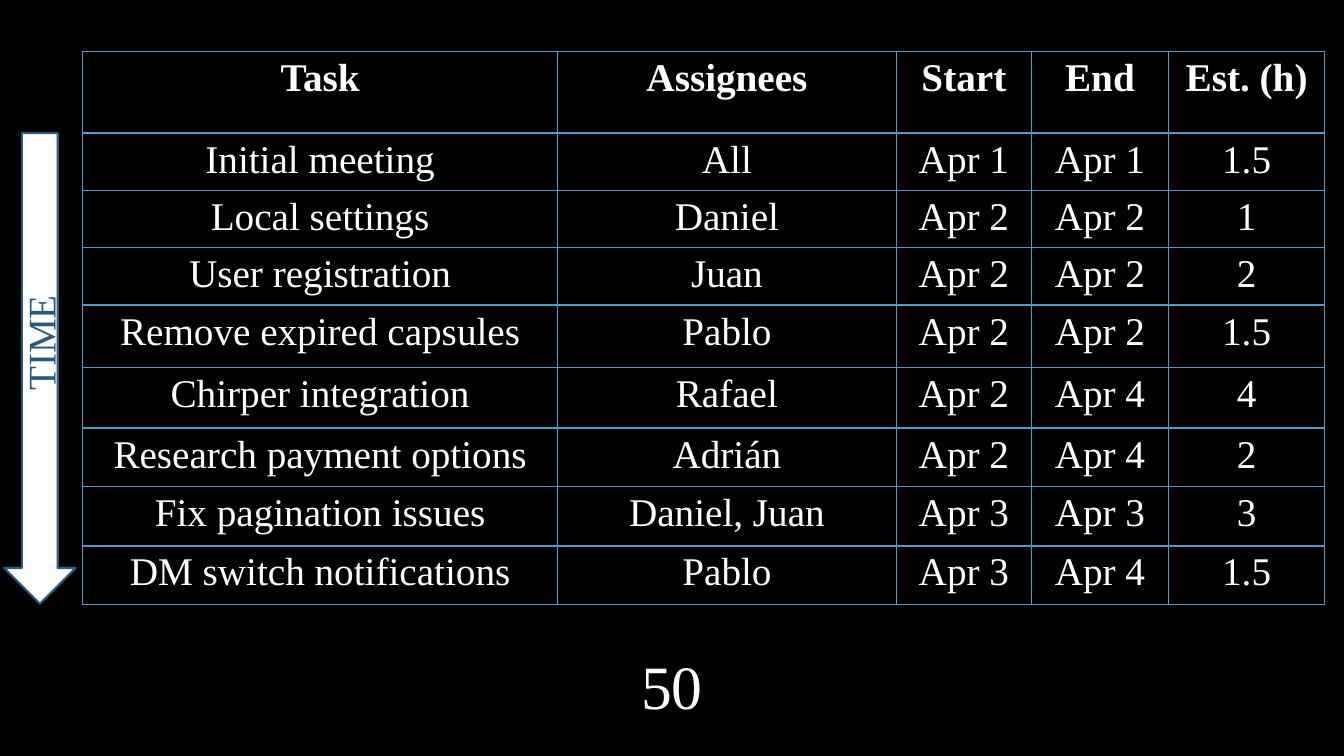
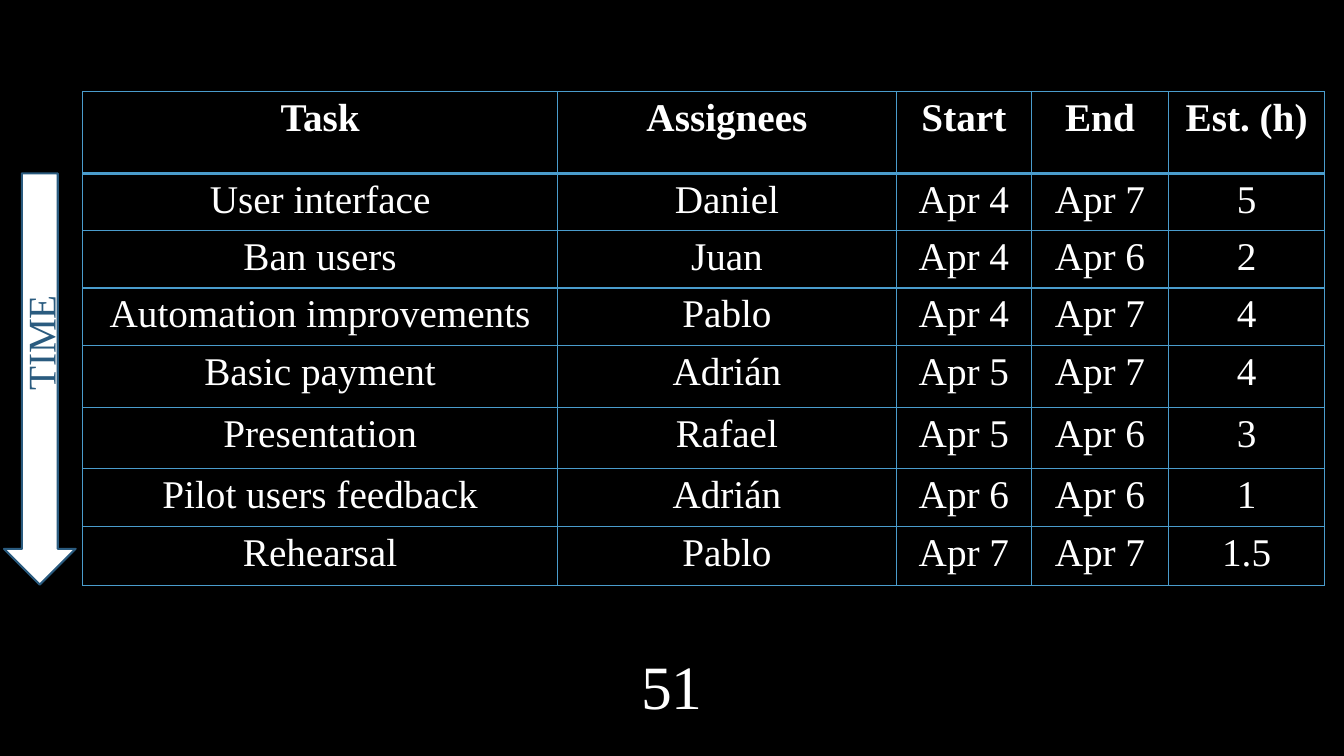
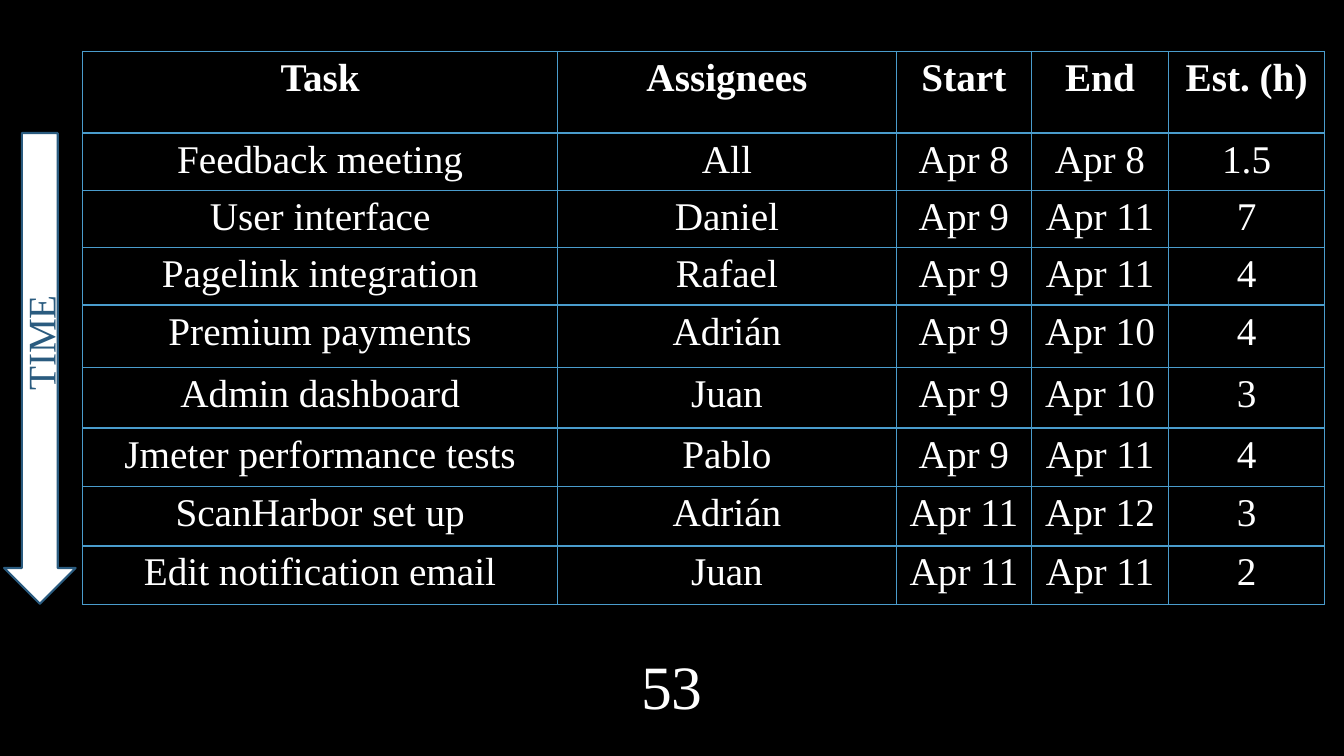
from lxml.etree import SubElement
from pptx import Presentation
from pptx.dml.color import RGBColor
from pptx.enum.shapes import MSO_SHAPE
from pptx.enum.text import MSO_ANCHOR, PP_ALIGN
from pptx.oxml import parse_xml
from pptx.oxml.ns import nsdecls, qn
from pptx.util import Inches, Pt

COLORS = {"background": "000000", "text": "FFFFFF", "border": "4A9CCC", "time": "2A5B7F"}
FONT = "Times New Roman"

HEADERS = ("Task", "Assignees", "Start", "End", "Est. (h)")
SCHEDULES = [
    {"number": "50", "top": 0.51, "tasks": [
        ("Initial meeting", "All", "Apr 1", "Apr 1", "1.5"),
        ("Local settings", "Daniel", "Apr 2", "Apr 2", "1"),
        ("User registration", "Juan", "Apr 2", "Apr 2", "2"),
        ("Remove expired capsules", "Pablo", "Apr 2", "Apr 2", "1.5"),
        ("Chirper integration", "Rafael", "Apr 2", "Apr 4", "4"),
        ("Research payment options", "Adrián", "Apr 2", "Apr 4", "2"),
        ("Fix pagination issues", "Daniel, Juan", "Apr 3", "Apr 3", "3"),
        ("DM switch notifications", "Pablo", "Apr 3", "Apr 4", "1.5"),
    ]},
    {"number": "51", "top": 0.91, "tasks": [
        ("User interface", "Daniel", "Apr 4", "Apr 7", "5"),
        ("Ban users", "Juan", "Apr 4", "Apr 6", "2"),
        ("Automation improvements", "Pablo", "Apr 4", "Apr 7", "4"),
        ("Basic payment", "Adrián", "Apr 5", "Apr 7", "4"),
        ("Presentation", "Rafael", "Apr 5", "Apr 6", "3"),
        ("Pilot users feedback", "Adrián", "Apr 6", "Apr 6", "1"),
        ("Rehearsal", "Pablo", "Apr 7", "Apr 7", "1.5"),
    ]},
    {"number": "53", "top": 0.51, "tasks": [
        ("Feedback meeting", "All", "Apr 8", "Apr 8", "1.5"),
        ("User interface", "Daniel", "Apr 9", "Apr 11", "7"),
        ("Pagelink integration", "Rafael", "Apr 9", "Apr 11", "4"),
        ("Premium payments", "Adrián", "Apr 9", "Apr 10", "4"),
        ("Admin dashboard", "Juan", "Apr 9", "Apr 10", "3"),
        ("Jmeter performance tests", "Pablo", "Apr 9", "Apr 11", "4"),
        ("ScanHarbor set up", "Adrián", "Apr 11", "Apr 12", "3"),
        ("Edit notification email", "Juan", "Apr 11", "Apr 11", "2"),
    ]},
]

TABLE_LEFT = 0.82
COLUMN_WIDTHS = (4.71, 3.36, 1.34, 1.36, 1.55)
HEADER_HEIGHT = 0.81
TASK_HEIGHTS = (0.57, 0.56, 0.57, 0.62, 0.6, 0.58, 0.59, 0.58)


def color(name):
    return RGBColor.from_string(COLORS[name])


def write(text_frame, text, size, color_name, alignment, bold=False):
    paragraph = text_frame.paragraphs[0]
    paragraph.alignment = alignment
    run = paragraph.add_run()
    run.text = text
    run.font.name = FONT
    run.font.size = Pt(size)
    run.font.bold = bold
    run.font.color.rgb = color(color_name)


def add_text(slide, place, text, size, color_name, alignment):
    box = slide.shapes.add_textbox(*map(Inches, place))
    box.text_frame.word_wrap = True
    write(box.text_frame, text, size, color_name, alignment)
    return box


def set_borders(cell, bottom_width):
    """Insert the four border lines ahead of the cell's fill, as the schema requires."""
    properties = cell._tc.get_or_add_tcPr()
    widths = {"lnL": 1, "lnR": 1, "lnT": 1, "lnB": bottom_width}
    for position, (tag, width) in enumerate(widths.items()):
        line = parse_xml(f'<a:{tag} {nsdecls("a")} w="{Pt(width)}"/>')
        fill = SubElement(line, qn("a:solidFill"))
        SubElement(fill, qn("a:srgbClr"), val=COLORS["border"])
        properties.insert(position, line)


def add_schedule_table(slide, top, tasks, heights):
    rows = [HEADERS, *tasks]
    frame = slide.shapes.add_table(
        len(rows), len(HEADERS), Inches(TABLE_LEFT), Inches(top),
        Inches(sum(COLUMN_WIDTHS)), Inches(sum(heights)))
    table = frame.table
    table.first_row = table.horz_banding = False
    for column, width in zip(table.columns, COLUMN_WIDTHS):
        column.width = Inches(width)
    for row_index, (row, height, values) in enumerate(zip(table.rows, heights, rows)):
        row.height = Inches(height)
        is_header = row_index == 0
        for cell, value in zip(row.cells, values):
            cell.fill.background()
            set_borders(cell, 2 if is_header else 1)
            write(cell.text_frame, value, 28, "text", PP_ALIGN.CENTER, is_header)


def add_time_arrow(slide, top, height):
    arrow = slide.shapes.add_shape(
        MSO_SHAPE.DOWN_ARROW, Inches(0.04), Inches(top), Inches(0.71), Inches(height))
    arrow.shadow.inherit = False
    arrow.fill.solid()
    arrow.fill.fore_color.rgb = color("text")
    arrow.line.color.rgb = color("time")
    arrow.line.width = Pt(1.5)
    label = add_text(slide, (-0.33, 2.96, 1.46, 0.57), "TIME", 28, "time", PP_ALIGN.LEFT)
    label.rotation = 270


def add_schedule_slide(presentation, number, top, tasks):
    slide = presentation.slides.add_slide(presentation.slide_layouts.get_by_name("Blank"))
    page_number = add_text(slide, (6.03, 6.51, 1.27, 0.56), number, 44, "text", PP_ALIGN.CENTER)
    page_number.text_frame.vertical_anchor = MSO_ANCHOR.MIDDLE
    task_heights = TASK_HEIGHTS[:len(tasks) - 1] + TASK_HEIGHTS[-1:]
    add_schedule_table(slide, top, tasks, (HEADER_HEIGHT, *task_heights))
    add_time_arrow(slide, top + HEADER_HEIGHT, sum(task_heights))


def main():
    presentation = Presentation()
    presentation.slide_width = Inches(13.33)
    presentation.slide_height = Inches(7.5)
    background = presentation.slide_master.background.fill
    background.solid()
    background.fore_color.rgb = color("background")
    for schedule in SCHEDULES:
        add_schedule_slide(presentation, **schedule)
    presentation.save("out.pptx")


if __name__ == "__main__":
    main()
